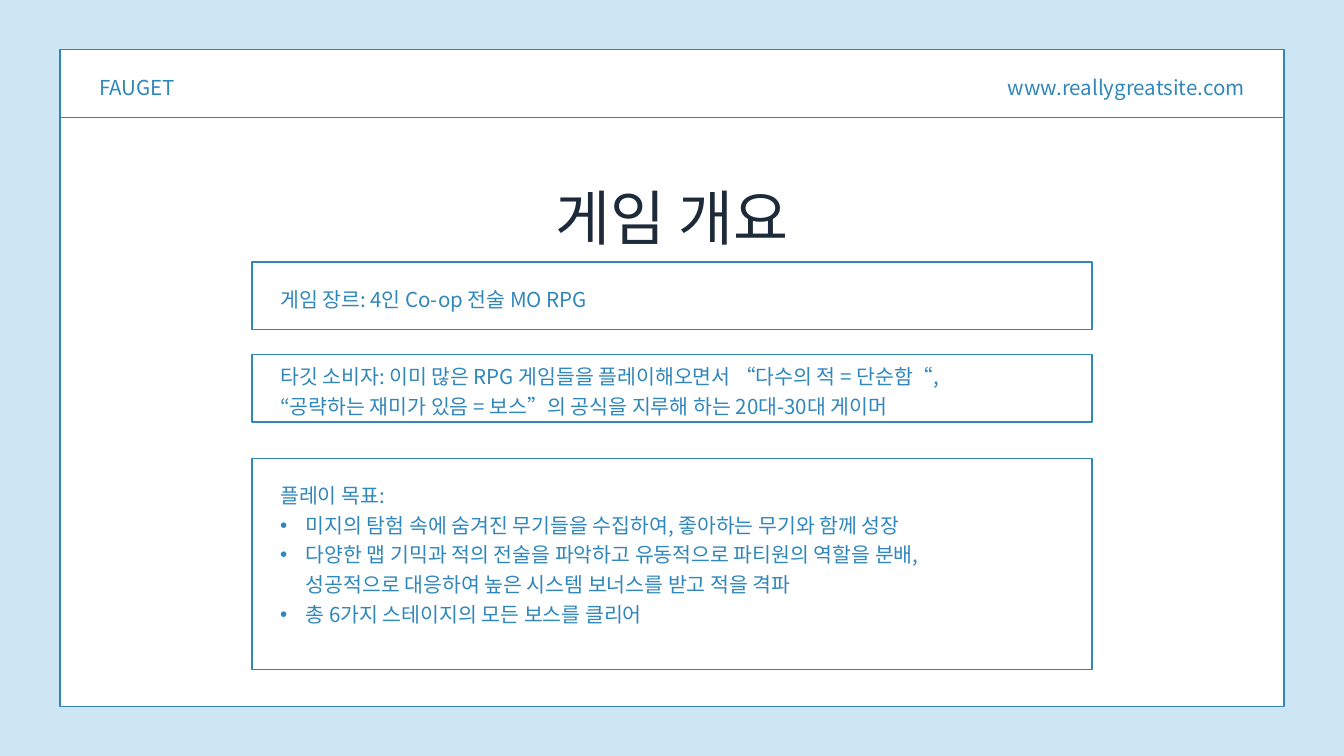
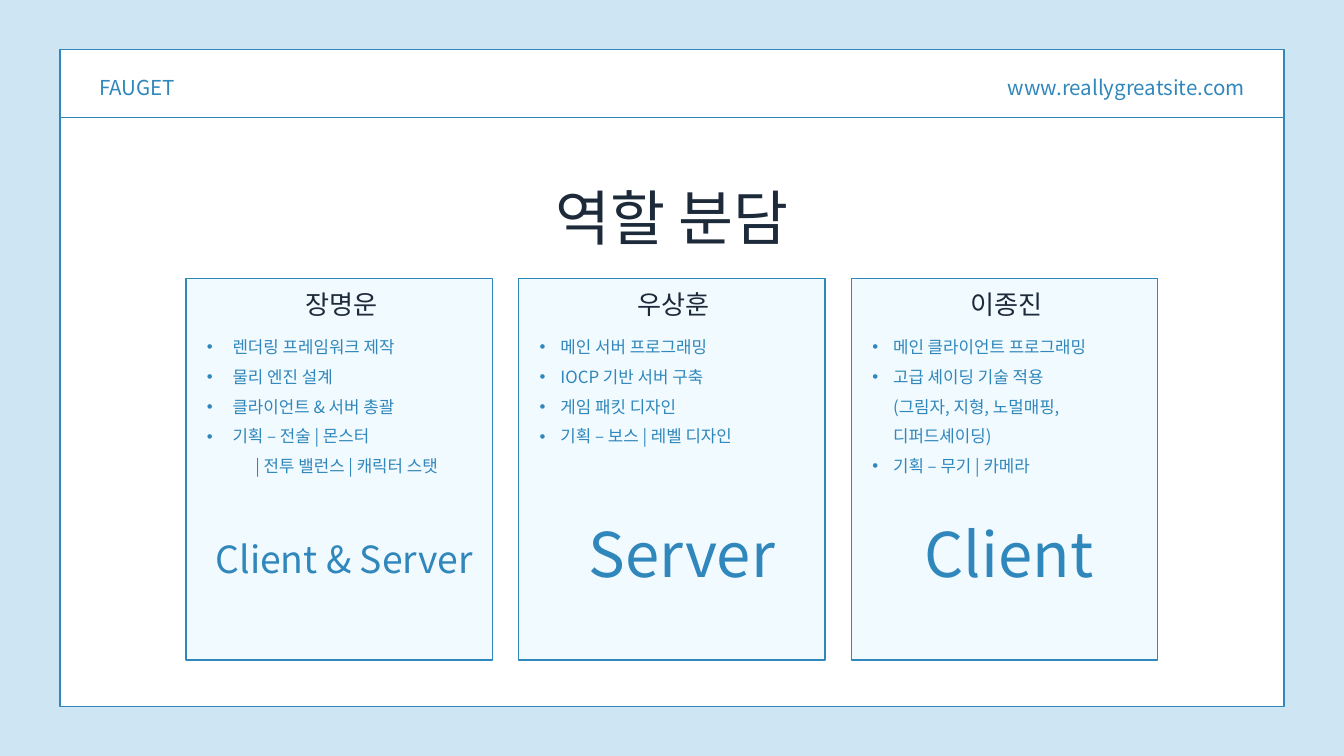
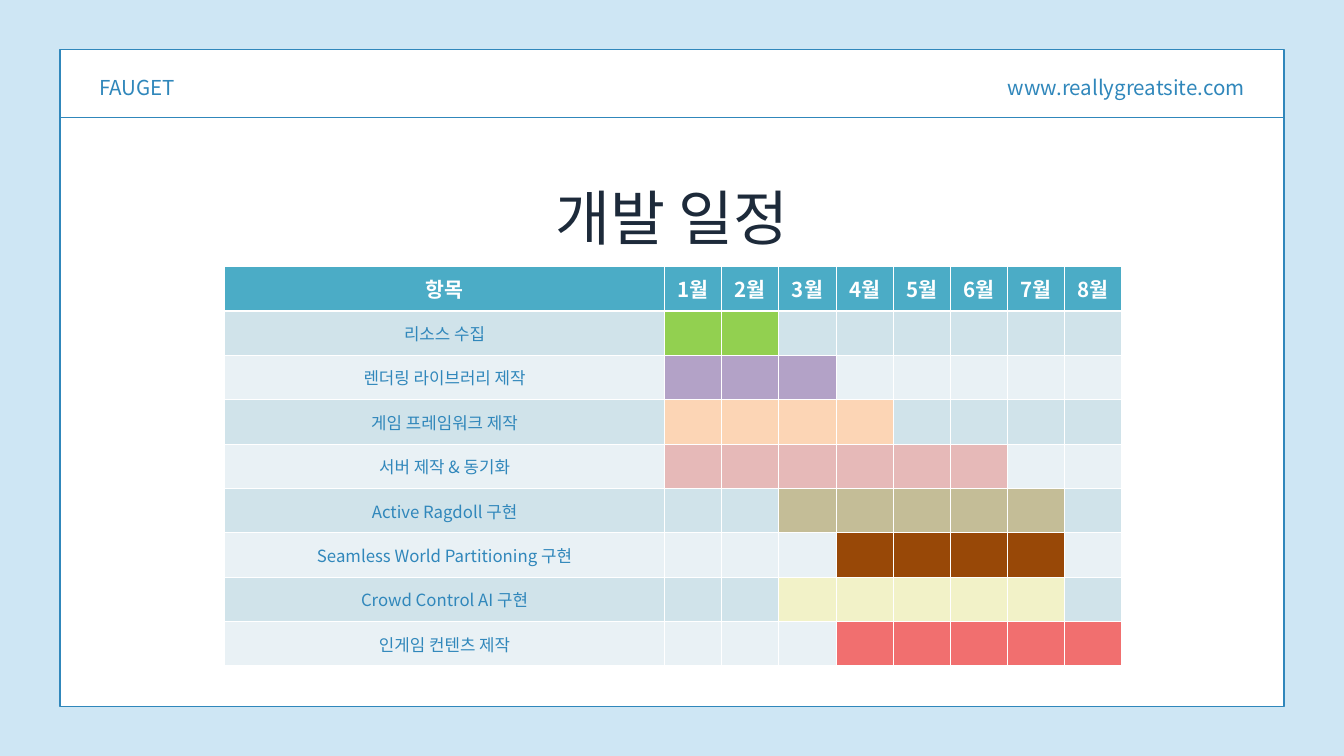
from lxml import etree
from pptx import Presentation
from pptx.dml.color import RGBColor
from pptx.enum.shapes import MSO_CONNECTOR, MSO_SHAPE
from pptx.enum.text import MSO_ANCHOR, MSO_AUTO_SIZE, PP_ALIGN
from pptx.oxml.ns import qn
from pptx.util import Inches, Pt

LEFT, MID, RIGHT = PP_ALIGN.LEFT, PP_ALIGN.CENTER, PP_ALIGN.RIGHT
TOP, CENTER = MSO_ANCHOR.TOP, MSO_ANCHOR.MIDDLE
RECT, LINE, FIXED = MSO_SHAPE.RECTANGLE, MSO_CONNECTOR.STRAIGHT, MSO_AUTO_SIZE.NONE

SKY = RGBColor(0xCE, 0xE6, 0xF4)
BLUE = RGBColor(0x30, 0x87, 0xBB)
NAVY = RGBColor(0x1D, 0x2A, 0x3A)
WHITE = RGBColor(0xFF, 0xFF, 0xFF)
ICE = RGBColor(0xF1, 0xFA, 0xFF)
TEAL = RGBColor(0x4B, 0xAC, 0xC6)
BANDS = RGBColor(0xD0, 0xE3, 0xEA), RGBColor(0xE9, 0xF1, 0xF5)
GREEN = RGBColor(0x92, 0xD0, 0x50)
PURPLE = RGBColor(0xB3, 0xA2, 0xC7)
PEACH = RGBColor(0xFC, 0xD5, 0xB5)
PINK = RGBColor(0xE6, 0xB9, 0xB8)
KHAKI = RGBColor(0xC4, 0xBD, 0x97)
BROWN = RGBColor(0x98, 0x48, 0x07)
CREAM = RGBColor(0xF2, 0xF2, 0xC8)
CORAL = RGBColor(0xF1, 0x6F, 0x6F)

FONT = "Noto Sans CJK KR"
WIDE, HIGH = 20, 11.25
EDGE, ROOF = 0.89, 0.74  # margins around the white frame
LEAD = 31.9              # line pitch of body text, points

# Content
BRAND, SITE = "FAUGET", "www.reallygreatsite.com"

GENRE = "게임 장르: 4인 Co-op 전술 MO RPG"
TARGET = ("타깃 소비자: 이미 많은 RPG 게임들을 플레이해오면서 “다수의 적 = 단순함“,\n"
          "“공략하는 재미가 있음 = 보스”의 공식을 지루해 하는 20대-30대 게이머")
GOAL = "플레이 목표:"
GOALS = [
    "미지의 탐험 속에 숨겨진 무기들을 수집하여, 좋아하는 무기와 함께 성장",
    "다양한 맵 기믹과 적의 전술을 파악하고 유동적으로 파티원의 역할을 분배,\n"
    "성공적으로 대응하여 높은 시스템 보너스를 받고 적을 격파",
    "총 6가지 스테이지의 모든 보스를 클리어",
]

# Name, tasks as (text, indent, bullet), role, role size, role offset (x, y)
TEAM = [
    ("장명운", [("렌더링 프레임워크 제작", 0.38, True), ("물리 엔진 설계", 0.38, True),
              ("클라이언트 & 서버 총괄", 0.38, True), ("기획 – 전술 | 몬스터", 0.38, True),
              ("| 전투 밸런스 | 캐릭터 스탯", 0.72, False)],
     "Client & Server", 40, (0.44, 4.07)),
    ("우상훈", [("메인 서버 프로그래밍", 0.31, True), ("IOCP 기반 서버 구축", 0.31, True),
              ("게임 패킷 디자인", 0.31, True), ("기획 – 보스 | 레벨 디자인", 0.31, True)],
     "Server", 66, (1.04, 4.2)),
    ("이종진", [("메인 클라이언트 프로그래밍", 0.31, True),
              ("고급 셰이딩 기술 적용\n(그림자, 지형, 노멀매핑, 디퍼드셰이딩)", 0.31, True),
              ("기획 – 무기 | 카메라", 0.31, True)],
     "Client", 66, (1.09, 4.2)),
]

HEAD = ["항목"] + [f"{month}월" for month in range(1, 9)]
PLAN = [  # task, first month, last month, colour
    ("리소스 수집", 1, 2, GREEN),
    ("렌더링 라이브러리 제작", 1, 3, PURPLE),
    ("게임 프레임워크 제작", 1, 4, PEACH),
    ("서버 제작 & 동기화", 1, 6, PINK),
    ("Active Ragdoll 구현", 3, 7, KHAKI),
    ("Seamless World Partitioning 구현", 4, 7, BROWN),
    ("Crowd Control AI 구현", 3, 7, CREAM),
    ("인게임 컨텐츠 제작", 4, 8, CORAL),
]


# Shared helpers
def style(para, size, color, bold=False):
    for run in para.runs:
        run.font.name, run.font.size, run.font.bold = FONT, Pt(size), bold
        run.font.color.rgb = color
        east = etree.Element(qn("a:ea"), typeface=FONT)
        run.font.element.find(qn("a:latin")).addnext(east) if hasattr(run.font, "element") \
            else run._r.rPr.find(qn("a:latin")).addnext(east)


def bullet(para, indent, dot):
    props = para._p.get_or_add_pPr()
    props.set("marL", str(Inches(indent)))
    props.set("indent", str(-Inches(indent) if dot else 0))
    if dot:
        etree.SubElement(props, qn("a:buFont"), typeface="Arial")
        etree.SubElement(props, qn("a:buChar"), char="•")
    else:
        etree.SubElement(props, qn("a:buNone"))


def write(shape, items, size, color=BLUE, lead=LEAD, align=LEFT):
    """Fill a text shape with (text, indent, bullet) items."""
    frame = shape.text_frame
    frame.auto_size, frame.word_wrap, frame.vertical_anchor = FIXED, True, TOP
    frame.margin_left = frame.margin_right = frame.margin_top = frame.margin_bottom = 0
    for i, (text, indent, dot) in enumerate(items):
        para = frame.add_paragraph() if i else frame.paragraphs[0]
        para.text = text
        bullet(para, indent, dot)
        para.alignment, para.line_spacing = align, Pt(lead)
        para.space_before = para.space_after = Pt(0)
        style(para, size, color)


def label(slide, text, box, size, **look):
    shape = slide.shapes.add_textbox(*map(Inches, box))
    write(shape, [(text, 0, False)], size, **look)


def fill(holder, items, box, size, **look):
    """Move a placeholder in front of the panels and write in it."""
    holder.left, holder.top, holder.width, holder.height = map(Inches, box)
    holder.element.getparent().append(holder.element)
    write(holder, items, size, **look)


def panel(slide, box, color):
    shape = slide.shapes.add_shape(RECT, *map(Inches, box))
    shape.shadow.inherit = False
    shape.fill.solid()
    shape.fill.fore_color.rgb = color
    shape.line.color.rgb, shape.line.width = BLUE, Pt(1.5)


def start(deck, layout, title):
    """Add a slide with frame, header band and title."""
    slide = deck.slides.add_slide(deck.slide_layouts[layout])
    panel(slide, (EDGE, ROOF, WIDE - 2 * EDGE, HIGH - 2 * ROOF), WHITE)
    rule = slide.shapes.add_connector(
        LINE, *map(Inches, (EDGE, 1.75, WIDE - EDGE, 1.75)))
    rule.line.color.rgb, rule.line.width = BLUE, Pt(1.5)
    etree.SubElement(rule.element.spPr, qn("a:effectLst"))
    label(slide, SITE, (14.41, 1.06, 4.11, 0.42), 22, lead=30.8, align=RIGHT)
    label(slide, BRAND, (1.48, 1.06, 3.22, 0.42), 22, lead=30.8)
    fill(slide.shapes.title, [(title, 0, False)], (6.33, 2.51, WIDE - 2 * 6.33, 1.26),
         64, color=NAVY, lead=89.6, align=MID)
    return slide


def paint(cell, color, base=1):
    """Give a cell white borders and a flat fill."""
    props = cell._tc.get_or_add_tcPr()
    for side, width in (("L", 1), ("R", 1), ("T", 1), ("B", base)):
        edge = etree.SubElement(props, qn(f"a:ln{side}"), w=str(Pt(width)))
        ink = etree.SubElement(edge, qn("a:solidFill"))
        etree.SubElement(ink, qn("a:srgbClr"), val=str(WHITE))
    cell.fill.solid()
    cell.fill.fore_color.rgb = color


def enter(cell, text, size, color, bold=False):
    cell.vertical_anchor = CENTER
    para = cell.text_frame.paragraphs[0]
    para.text, para.alignment = text, MID
    style(para, size, color, bold)


# Slides
def outline(deck):
    slide = start(deck, 1, "게임 개요")
    for top, high in ((3.9, 1), (5.28, 1), (6.82, 3.14)):
        panel(slide, (3.75, top, WIDE - 2 * 3.75, high), WHITE)
    left, wide = 4.17, 11.52
    label(slide, GENRE, (left, 4.19, wide, 0.42), 22)
    label(slide, TARGET, (left, 5.34, wide, 0.87), 22)
    items = [(GOAL, 0, False)] + [(goal, 0.38, True) for goal in GOALS]
    fill(slide.placeholders[1], items, (left, 7.11, wide, 2.22), 22)


def roles(deck):
    slide = start(deck, 4, "역할 분담")
    bodies = [slide.placeholders[i] for i in range(1, 5)]
    spare = bodies.pop().element
    spare.getparent().remove(spare)
    top, wide, step = 4.14, 4.56, 4.95
    for i, (body, (name, tasks, role, size, (dx, dy))) in enumerate(zip(bodies, TEAM)):
        left = 2.77 + i * step
        panel(slide, (left, top, wide, 5.68), ICE)
        label(slide, name, (left + 0.03, top + 0.15, wide, 0.48), 28,
              color=NAVY, lead=33.6, align=MID)
        fill(body, tasks, (left + 0.31, top + 0.73, 3.94, 2.68), 18)
        label(slide, role, (left + dx, top + dy, 4.2, 0.6), size)


def schedule(deck):
    slide = start(deck, 5, "개발 일정")
    first, month, high = 6.55, 0.85, 0.66
    rows, cols = len(PLAN) + 1, len(HEAD)
    box = (3.34, 3.97, first + month * (cols - 1), high * rows)
    table = slide.shapes.add_table(rows, cols, *map(Inches, box)).table
    for c, text in enumerate(HEAD):
        table.columns[c].width = Inches(month if c else first)
        paint(table.cell(0, c), TEAL, 3)
        enter(table.cell(0, c), text, 22, WHITE, True)
    for r, (task, begin, end, color) in enumerate(PLAN, 1):
        enter(table.cell(r, 0), task, 18, BLUE)
        for c in range(cols):
            busy = begin <= c <= end
            paint(table.cell(r, c), color if busy else BANDS[(r - 1) % 2])


def main():
    deck = Presentation()
    deck.slide_width, deck.slide_height = Inches(WIDE), Inches(HIGH)
    back = deck.slide_master.background.fill
    back.solid()
    back.fore_color.rgb = SKY
    outline(deck)
    roles(deck)
    schedule(deck)
    deck.save("out.pptx")


if __name__ == "__main__":
    main()
